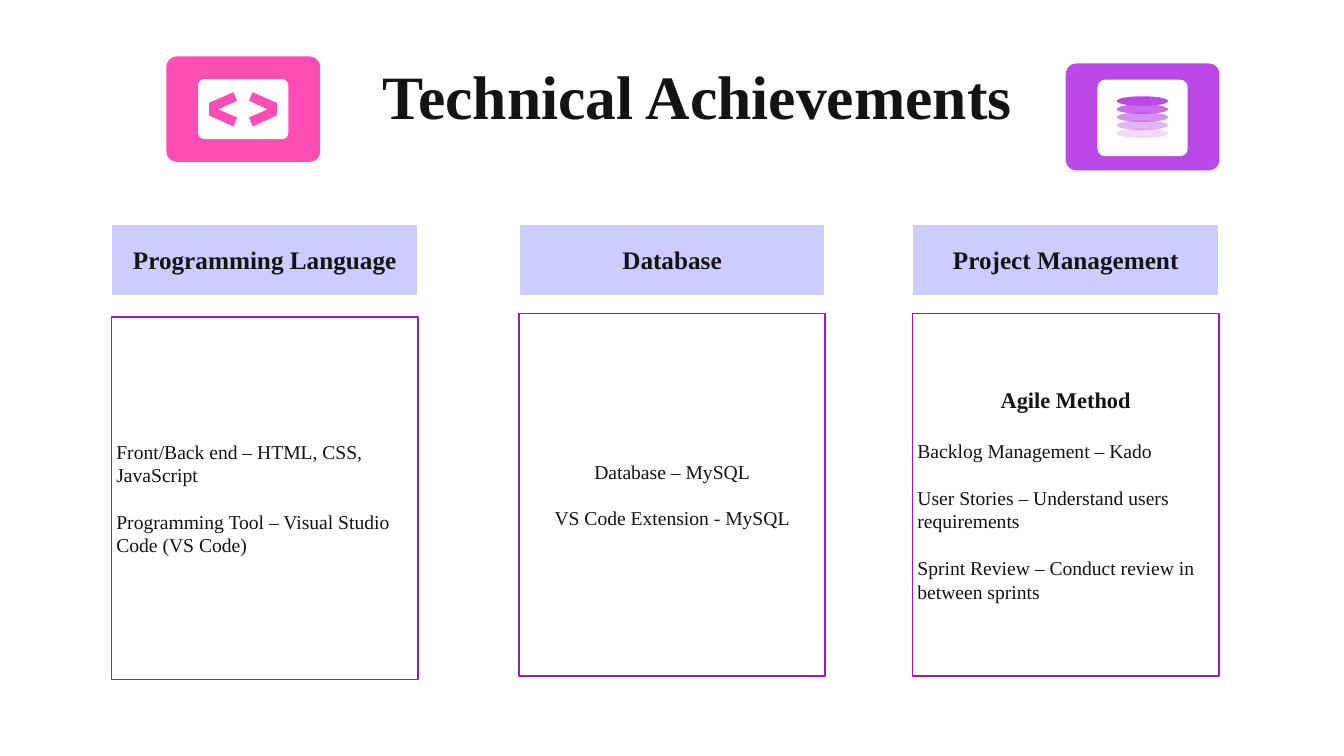
from lxml import etree
from pptx import Presentation
from pptx.dml.color import RGBColor
from pptx.enum.shapes import MSO_SHAPE
from pptx.enum.text import MSO_ANCHOR, PP_ALIGN
from pptx.oxml.ns import qn
from pptx.util import Inches, Pt

RECT, ROUND, OVAL = MSO_SHAPE.RECTANGLE, MSO_SHAPE.ROUNDED_RECTANGLE, MSO_SHAPE.OVAL
MIDDLE = MSO_ANCHOR.MIDDLE
LEFT, CENTER = PP_ALIGN.LEFT, PP_ALIGN.CENTER

COLORS = {"ink": "131316", "white": "FFFFFF", "head": "CCCCFF",
          "edge": "961BC7", "pink": "FE4DB5", "violet": "B948E6"}
FONT = "Times New Roman"
COLS, ROWS = 26.66, 15
HEAD, BODY = 36, 28


class Deck:
    """Holds the style and the slide; lengths are grid columns and rows."""

    def __init__(self):
        self.prs = Presentation()
        self.prs.slide_width, self.prs.slide_height = Inches(COLS), Inches(ROWS)
        self.slide = self.prs.slides.add_slide(self.prs.slide_layouts[6])
        self.col = self.prs.slide_width / COLS
        self.row = self.prs.slide_height / ROWS

    def place(self, x, y, w, h):
        return (round(x * self.col), round(y * self.row),
                round(w * self.col), round(h * self.row))

    def tint(self, shape, fill, line=None, alpha=100):
        shape.shadow.inherit = False
        shape.fill.solid()
        shape.fill.fore_color.rgb = RGBColor.from_string(COLORS[fill])
        if alpha < 100:
            color = shape.element.spPr.find(".//" + qn("a:srgbClr"))
            etree.SubElement(color, qn("a:alpha"), val=str(alpha * 1000))
        if line:
            shape.line.color.rgb = RGBColor.from_string(COLORS[line])
            shape.line.width = Pt(2.25)
        else:
            shape.line.fill.background()

    def letter(self, frame, paras):
        """Fill a frame from (text, size, bold, align, gap) rows."""
        frame.word_wrap = True
        frame.text = "\n".join(row[0] for row in paras)
        for para, (_, size, bold, align, gap) in zip(frame.paragraphs, paras):
            para.alignment = align
            if gap:
                para.space_before = Pt(gap)
            for run in para.runs:
                run.font.name, run.font.size, run.font.bold = FONT, Pt(size), bold
                run.font.color.rgb = RGBColor.from_string(COLORS["ink"])

    def title(self, text, *area):
        box = self.slide.shapes.add_textbox(*self.place(*area))
        self.letter(box.text_frame, [(text, 88, True, CENTER, 0)])

    def panel(self, area, fill, line, paras):
        box = self.slide.shapes.add_shape(RECT, *self.place(*area))
        self.tint(box, fill, line)
        box.text_frame.vertical_anchor = MIDDLE
        self.letter(box.text_frame, paras)

    def group(self):
        return self.slide.shapes.add_group_shape().shapes

    def tile(self, group, area, fill):
        tile = group.add_shape(ROUND, *self.place(*area))
        tile.adjustments[0] = 0.1
        self.tint(tile, fill)

    def disc(self, group, area, fill, alpha):
        disc = group.add_shape(OVAL, *self.place(*area))
        self.tint(disc, fill, alpha=alpha)

    def outline(self, group, points, fill):
        spots = [(round(x * self.col), round(y * self.row)) for x, y in points]
        pen = group.build_freeform(*spots[0])
        pen.add_line_segments(spots[1:], close=True)
        self.tint(pen.convert_to_shape(), fill)


def items(align, *texts, first=0):
    """Body rows parted by one line of space, with its own gap on the first."""
    gap = 33
    return [(text, BODY, False, align, gap if i else first)
            for i, text in enumerate(texts)]


def code_icon(deck):
    group = deck.group()
    deck.tile(group, (3.3, 1.12, 3.05, 2.09), "pink")
    deck.tile(group, (3.93, 1.57, 1.79, 1.19), "white")
    mid, top = 4.82, 1.83
    bracket = [(0.12, 0.17), (0.19, 0), (0.67, 0.21), (0.67, 0.46),
               (0.19, 0.68), (0.12, 0.5), (0.49, 0.34)]
    for side in (-1, 1):
        deck.outline(group, [(mid + side * x, top + y) for x, y in bracket], "pink")


def data_icon(deck):
    group = deck.group()
    deck.tile(group, (21.14, 1.26, 3.05, 2.12), "violet")
    deck.tile(group, (21.77, 1.58, 1.79, 1.52), "white")
    for i in range(5):
        deck.disc(group, (22.15, 1.91 + 0.16 * i, 1.02, 0.19), "violet", 100 - 20 * i)


def main():
    deck = Deck()
    deck.title("Technical Achievements", 2.17, 1.09, 23.33, 1.58)
    columns = [
        (2.21, 6.29, "Programming Language", items(
            LEFT, "Front/Back end – HTML, CSS, JavaScript",
            "Programming Tool – Visual Studio Code (VS Code)")),
        (10.29, 6.22, "Database", items(
            CENTER, "Database – MySQL", "VS Code Extension - MySQL")),
        (18.1, 6.22, "Project Management",
         [("Agile Method", 32, True, CENTER, 0)] + items(
             LEFT, "Backlog Management – Kado",
             "User Stories – Understand users requirements",
             "Sprint Review – Conduct review in between sprints", first=37)),
    ]
    for left, top, head, body in columns:
        deck.panel((left, 4.44, 6.08, 1.43), "head", "white",
                   [(head, HEAD, True, CENTER, 0)])
        deck.panel((left, top, 6.08, 7.19), "white", "edge", body)
    data_icon(deck)
    code_icon(deck)
    deck.prs.save("out.pptx")


if __name__ == "__main__":
    main()
